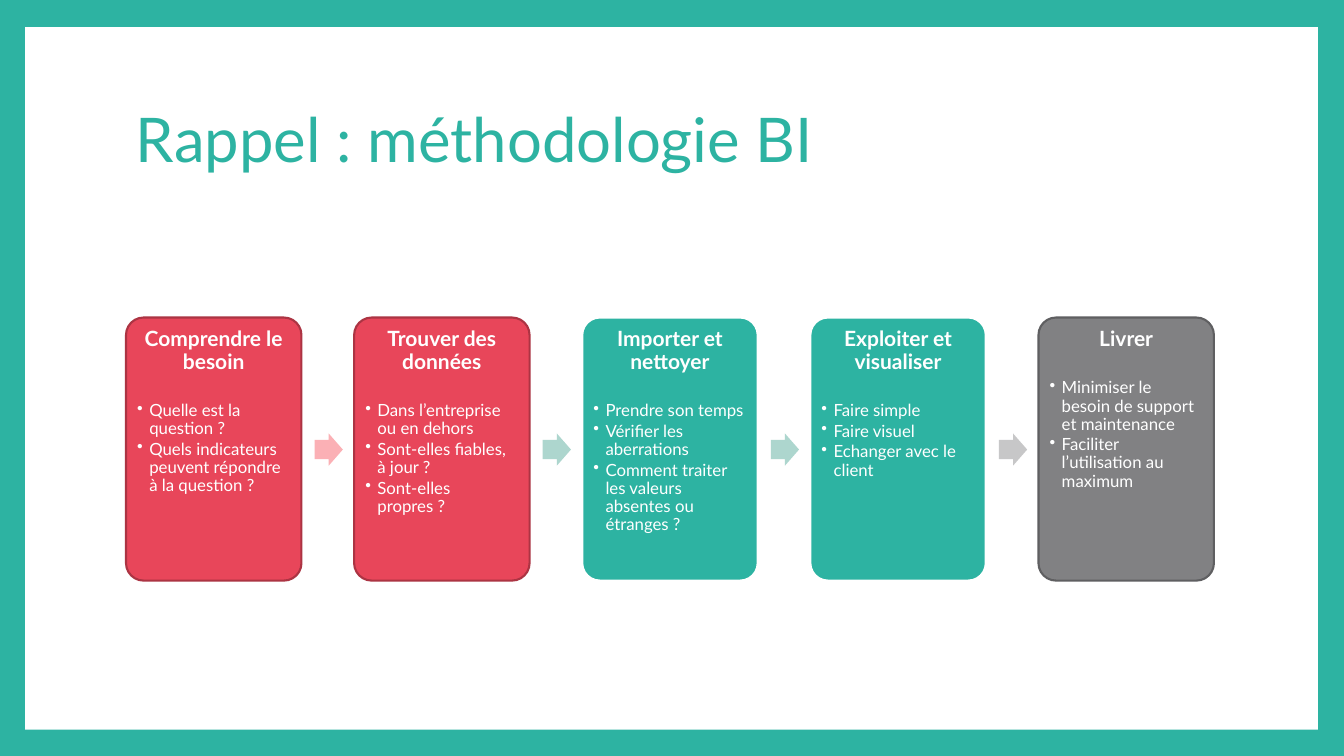
from pptx import Presentation
from pptx.dml.color import RGBColor
from pptx.enum.shapes import MSO_SHAPE
from pptx.enum.text import MSO_ANCHOR, PP_ALIGN
from pptx.oxml.ns import qn
from pptx.util import Inches, Pt
from lxml.etree import SubElement

FONT = "Lato"
TEAL, RED, GRAY, WHITE = "2DB3A2", "E8465A", "818183", "FFFFFF"
CARD_LEFT, CARD_TOP, CARD_W, CARD_H = 1.25, 3.15, 1.74, 2.61
PITCH = 9.05 / 4
ARROW_OFFSET = 1.87

STEPS = [
    ("Comprendre le besoin", RED, "AC3443", "FBB0B5",
     ["Quelle est la question ?",
      "Quels indicateurs peuvent répondre à la question ?"]),
    ("Trouver des données", RED, "AC3443", "ADD6CE",
     ["Dans l’entreprise ou en dehors", "Sont-elles fiables, à jour ?",
      "Sont-elles propres ?"]),
    ("Importer et nettoyer", TEAL, WHITE, "ADD6CE",
     ["Prendre son temps", "Vérifier les aberrations",
      "Comment traiter les valeurs absentes ou étranges ?"]),
    ("Exploiter et visualiser", TEAL, WHITE, "C7C7C8",
     ["Faire simple", "Faire visuel", "Echanger avec le client"]),
    ("Livrer", GRAY, "5F5F61", None,
     ["Minimiser le besoin de support et maintenance",
      "Faciliter l’utilisation au maximum"]),
]


def rgb(color):
    return RGBColor.from_string(color)


def add_box(s, kind, left, top, width, height, fill, line=None):
    sp = s.shapes.add_shape(kind, Inches(left), Inches(top),
                            Inches(width), Inches(height))
    sp.shadow.inherit = False
    sp.fill.solid()
    sp.fill.fore_color.rgb = rgb(fill)
    if line:
        sp.line.color.rgb = rgb(line)
        sp.line.width = Pt(1.5)
    else:
        sp.line.fill.background()
    return sp


def add_text(p, text, size, color, bold=False, align=PP_ALIGN.LEFT, after=0):
    p.alignment = align
    p.line_spacing = 0.9
    p.space_after = Pt(after)
    r = p.add_run()
    r.text = text
    r.font.name = FONT
    r.font.size = Pt(size)
    r.font.bold = bold
    r.font.color.rgb = rgb(color)


def add_bullet(p, text):
    add_text(p, text, 12, WHITE, after=1.8)
    p.level = 1
    pPr = p._p.get_or_add_pPr()
    pPr.set("marL", str(Inches(0.12)))
    pPr.set("indent", str(Inches(-0.12)))
    SubElement(pPr, qn("a:buChar")).set("char", "•")


def add_title(s, text):
    tb = s.shapes.add_textbox(Inches(1.25), Inches(0.67),
                              Inches(10.8), Inches(1.48))
    tf = tb.text_frame
    tf.word_wrap = True
    tf.vertical_anchor = MSO_ANCHOR.MIDDLE
    add_text(tf.paragraphs[0], text, 44, TEAL)


def add_card(s, left, heading, fill, line, bullets):
    sp = add_box(s, MSO_SHAPE.ROUNDED_RECTANGLE, left, CARD_TOP,
                 CARD_W, CARD_H, fill, line)
    sp.adjustments[0] = 0.1
    tf = sp.text_frame
    tf.word_wrap = True
    tf.vertical_anchor = MSO_ANCHOR.TOP
    tf.margin_left = tf.margin_right = Inches(0.06)
    tf.margin_top = tf.margin_bottom = Inches(0.06)
    add_text(tf.paragraphs[0], heading, 15, WHITE, True, PP_ALIGN.CENTER, 20)
    for bullet in bullets:
        add_bullet(tf.add_paragraph(), bullet)


def add_arrow(s, left, fill):
    sp = add_box(s, MSO_SHAPE.RIGHT_ARROW, left, 4.3, 0.28, 0.32, fill)
    sp.adjustments[0] = 0.6
    sp.adjustments[1] = 0.5


def main():
    prs = Presentation()
    prs.slide_width, prs.slide_height = Inches(13.33), Inches(7.5)
    s = prs.slides.add_slide(prs.slide_layouts[6])
    s.background.fill.solid()
    s.background.fill.fore_color.rgb = rgb(TEAL)
    add_box(s, MSO_SHAPE.RECTANGLE, 0.25, 0.27, 12.82, 6.97, WHITE)
    add_title(s, "Rappel : méthodologie BI")
    for i, (heading, fill, line, arrow, bullets) in enumerate(STEPS):
        left = CARD_LEFT + i * PITCH
        add_card(s, left, heading, fill, line, bullets)
        if arrow:
            add_arrow(s, left + ARROW_OFFSET, arrow)
    prs.save("out.pptx")


if __name__ == "__main__":
    main()
